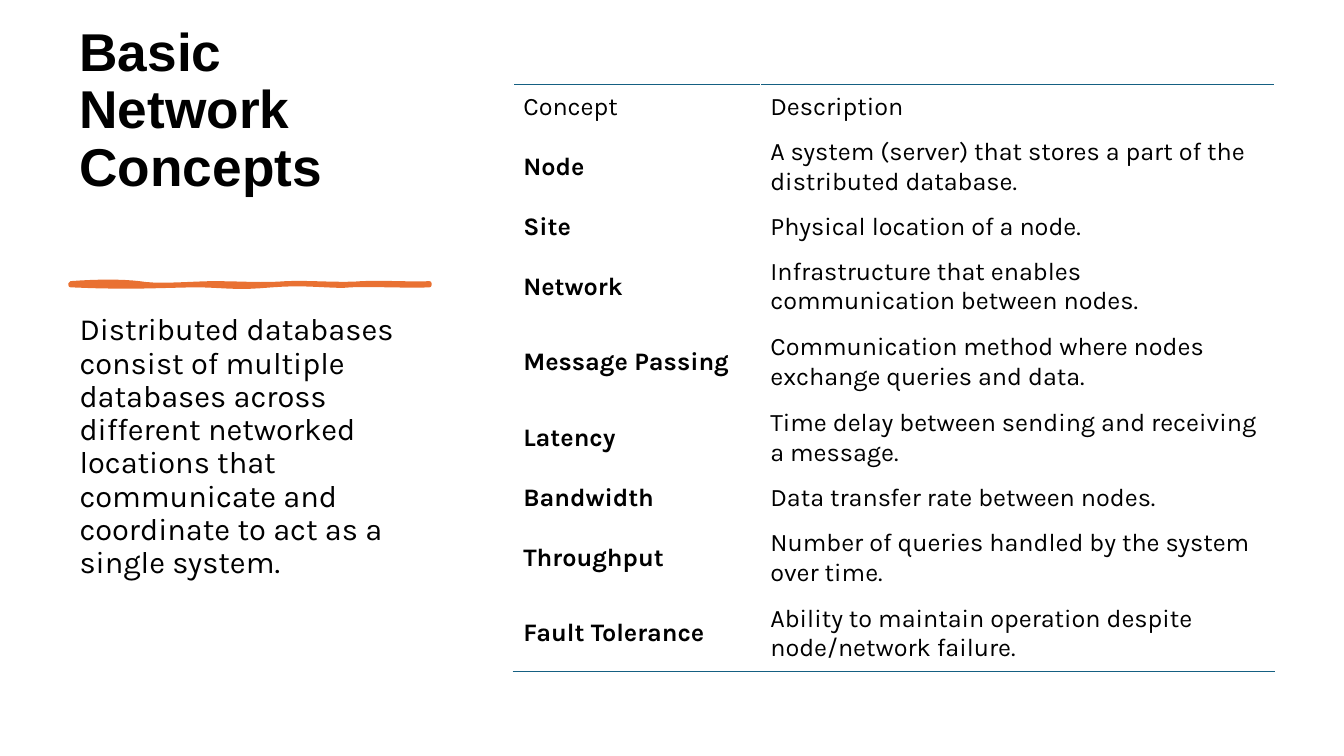
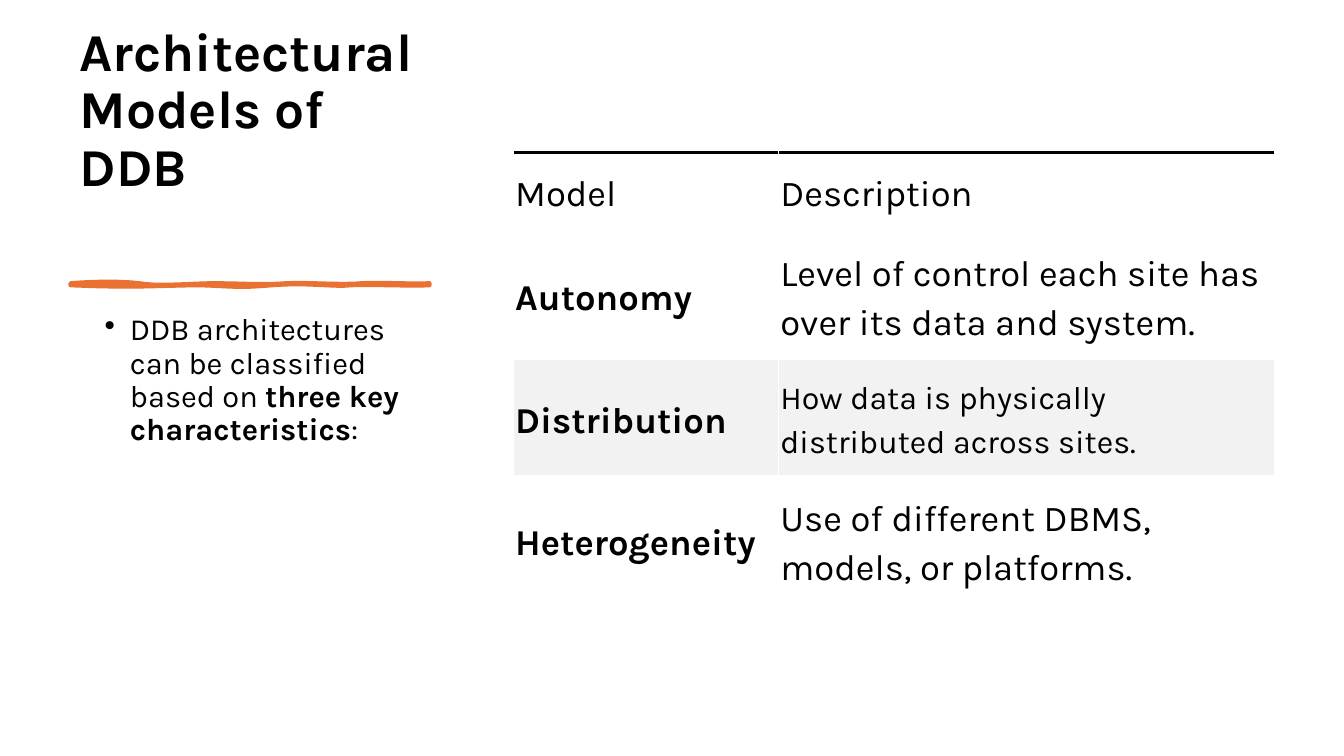
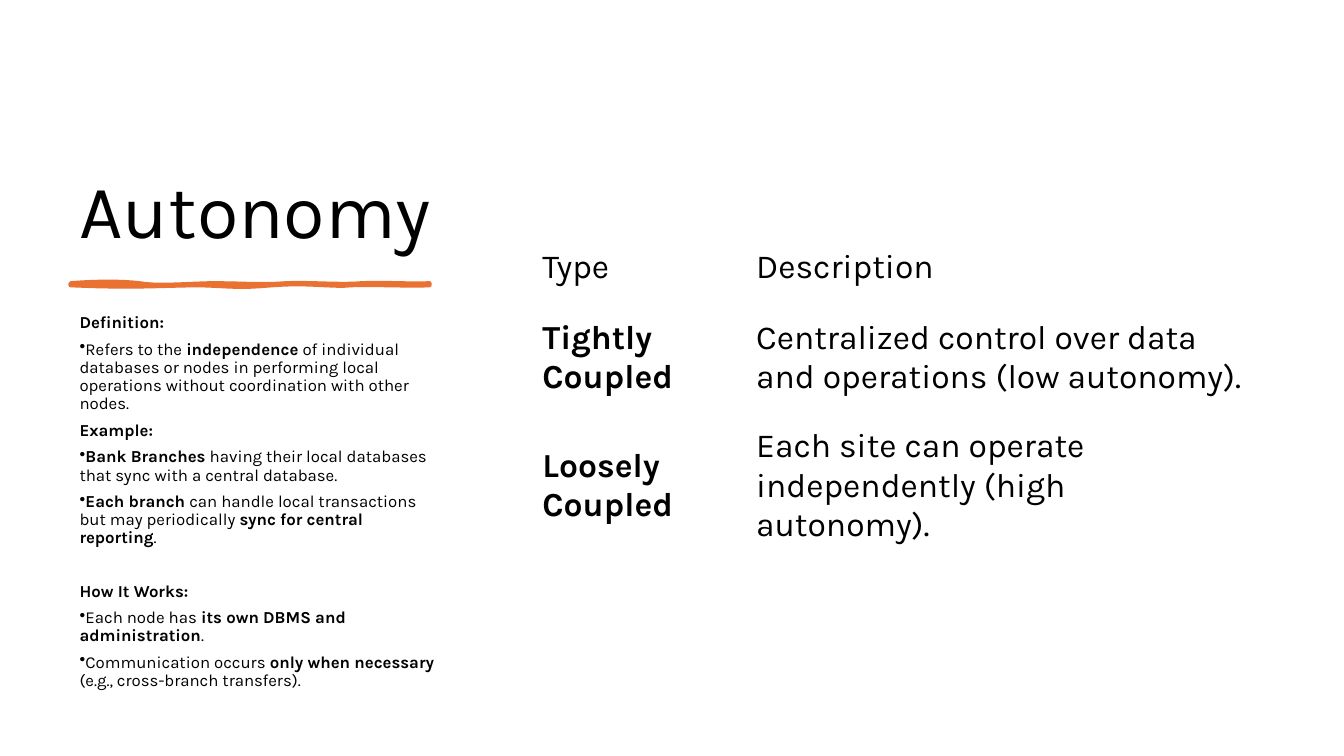
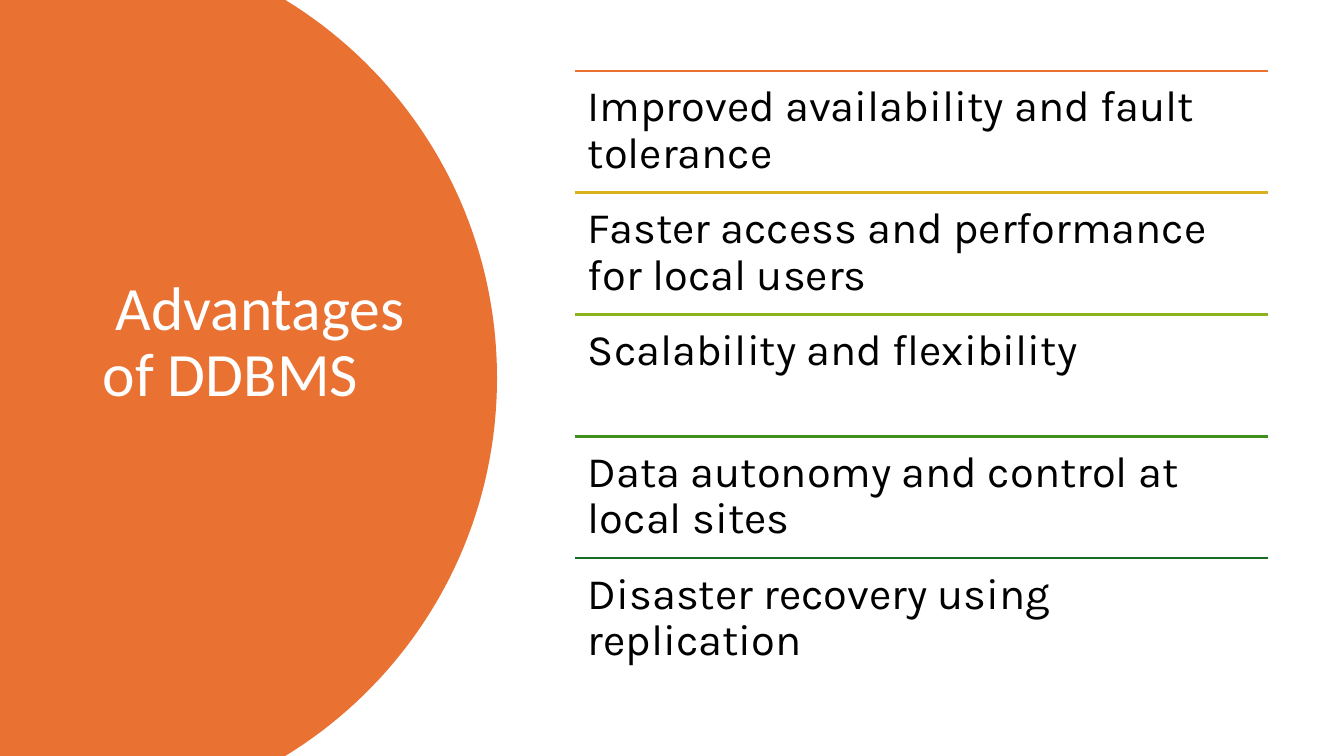
"""Builds four slides on distributed database concepts."""
from dataclasses import dataclass
from typing import NamedTuple, Optional

from lxml.etree import SubElement
from pptx import Presentation
from pptx.dml.color import RGBColor
from pptx.enum.shapes import MSO_CONNECTOR as Connector
from pptx.enum.text import MSO_ANCHOR as Anchor
from pptx.oxml import parse_xml
from pptx.oxml.ns import nsdecls, qn
from pptx.presentation import Presentation as Deck
from pptx.slide import Slide
from pptx.table import _Cell as Cell
from pptx.text.text import TextFrame
from pptx.util import Inches, Pt


@dataclass(frozen=True)
class Theme:
    font: str = "Karla"
    text: str = "000000"
    light: str = "FFFFFF"
    accent: str = "E97132"
    rule: str = "156082"
    band: str = "F2F2F2"
    steps: tuple[str, ...] = ("E97132", "D8B11D", "8EB21E", "408E1C", "196B24")
    title_size: float = 38
    big_title_size: float = 54
    panel_title_size: float = 44
    body_size: float = 22
    note_size: float = 12
    list_size: float = 31


THEME = Theme()


class Box(NamedTuple):
    left: float
    top: float
    width: float
    height: float


class Insets(NamedTuple):
    left: float = 0.1
    top: float = 0.05
    right: float = 0.1
    bottom: float = 0.05


class Run(NamedTuple):
    text: str
    bold: bool = False


@dataclass(frozen=True)
class TextStyle:
    size: float
    font: str = THEME.font
    color: str = THEME.text
    line_spacing: float = 0.9
    space_after: float = 0


@dataclass(frozen=True)
class Paragraph:
    runs: tuple[Run, ...]
    bullet: bool = False
    margin: float = 0
    indent: float = 0
    space_before: float = 0


@dataclass(frozen=True)
class TableSpec:
    left: float
    top: float
    columns: tuple[float, ...]
    heights: tuple[float, ...]
    rows: tuple[tuple[str, str], ...]
    style: TextStyle
    insets: Insets
    top_rule: Optional[tuple[str, float]] = None
    bottom_rule: Optional[tuple[str, float]] = None
    band_row: Optional[int] = None
    band_size: float = 23


TITLE_BOX = Box(0.69, 0.7, 3.75, 1.88)
BODY_BOX = Box(0.69, 3.07, 3.75, 3.73)
RAISED_TITLE = Insets(bottom=0.62)
Curve = tuple[float, float, float, float, float, float]
Point = tuple[float, float]

BRUSH_START: Point = (0.7, 2.81)
BRUSH_CURVES: tuple[Curve, ...] = (
    (0.97, 2.79, 1.21, 2.79, 1.38, 2.81),
    (1.55, 2.84, 1.77, 2.82, 2.09, 2.81),
    (2.41, 2.81, 2.6, 2.83, 2.84, 2.81),
    (3.08, 2.8, 3.39, 2.83, 3.59, 2.81),
    (3.79, 2.8, 4.12, 2.82, 4.26, 2.81),
    (4.26, 2.82, 4.26, 2.83, 4.26, 2.83),
    (4.08, 2.84, 3.64, 2.82, 3.48, 2.83),
    (3.32, 2.85, 3.04, 2.8, 2.7, 2.83),
    (2.35, 2.86, 2.31, 2.84, 1.99, 2.83),
    (1.66, 2.83, 1.32, 2.86, 0.7, 2.83),
)
PANEL_CURVES: tuple[Curve, ...] = (
    (4.09, 0.77, 4.93, 2.16, 4.93, 3.75),
    (4.93, 5.34, 4.09, 6.73, 2.83, 7.5),
)


def plain(text: str, bold: bool = False, space_before: float = 0) -> Paragraph:
    """Return a paragraph of one run."""
    return Paragraph((Run(text, bold),), space_before=space_before)


def bullet(*runs: Run, margin: float = 0) -> Paragraph:
    """Return a bulleted paragraph."""
    return Paragraph(runs, bullet=True, margin=margin, indent=-0.25)


def write_paragraphs(frame: TextFrame, paragraphs: tuple[Paragraph, ...], style: TextStyle) -> None:
    """Fill a text frame run by run."""
    for index, content in enumerate(paragraphs):
        paragraph = frame.add_paragraph() if index else frame.paragraphs[0]
        paragraph.line_spacing = style.line_spacing
        paragraph.space_before = Pt(content.space_before)
        paragraph.space_after = Pt(style.space_after)
        properties = paragraph._p.get_or_add_pPr()
        properties.set("marL", str(Inches(content.margin)))
        properties.set("indent", str(Inches(content.indent)))
        if content.bullet:
            SubElement(properties, qn("a:buChar")).set("char", "•")
        for part in content.runs:
            run = paragraph.add_run()
            run.text = part.text
            run.font.name = style.font
            run.font.size = Pt(style.size)
            run.font.bold = part.bold
            run.font.color.rgb = RGBColor.from_string(style.color)


def set_insets(target: TextFrame | Cell, insets: Insets) -> None:
    """Set the inner margins of a text frame or a cell."""
    target.margin_left = Inches(insets.left)
    target.margin_top = Inches(insets.top)
    target.margin_right = Inches(insets.right)
    target.margin_bottom = Inches(insets.bottom)


def add_text(slide: Slide, box: Box, paragraphs: tuple[Paragraph, ...], style: TextStyle,
             anchor: Anchor = Anchor.TOP, insets: Insets = Insets()) -> None:
    """Add a wrapping text box."""
    frame = slide.shapes.add_textbox(*map(Inches, box)).text_frame
    frame.word_wrap = True
    frame.vertical_anchor = anchor
    set_insets(frame, insets)
    write_paragraphs(frame, paragraphs, style)


def flatten(start: Point, curves: tuple[Curve, ...], steps: int) -> list[Point]:
    """Return points along a chain of cubic curves."""
    points = [start]
    for x1, y1, x2, y2, x3, y3 in curves:
        x0, y0 = points[-1]
        for step in range(1, steps + 1):
            t = step / steps
            u = 1 - t
            weights = (u ** 3, 3 * u * u * t, 3 * u * t * t, t ** 3)
            points.append((
                sum(w * x for w, x in zip(weights, (x0, x1, x2, x3))),
                sum(w * y for w, y in zip(weights, (y0, y1, y2, y3))),
            ))
    return points


def add_outline(slide: Slide, points: list[Point], line_width: float = 0) -> None:
    """Add a closed accent shape."""
    corners = [(Inches(x), Inches(y)) for x, y in points]
    builder = slide.shapes.build_freeform(*corners[0], scale=1.0)
    builder.add_line_segments(corners[1:], close=True)
    shape = builder.convert_to_shape()
    shape.shadow.inherit = False
    accent = RGBColor.from_string(THEME.accent)
    shape.fill.solid()
    shape.fill.fore_color.rgb = accent
    if line_width:
        shape.line.color.rgb = accent
        shape.line.width = Pt(line_width)
    else:
        shape.line.fill.background()


def add_rule(slide: Slide, left: float, top: float, width: float, color: str) -> None:
    """Add a horizontal line."""
    rule = slide.shapes.add_connector(
        Connector.STRAIGHT, Inches(left), Inches(top), Inches(left + width), Inches(top))
    rule.line.color.rgb = RGBColor.from_string(color)
    rule.line.width = Pt(1.5)
    SubElement(rule._element.spPr, qn("a:effectLst"))


def set_border(cell: Cell, side: str, color: str, width: float) -> None:
    """Draw one border of a cell."""
    border = parse_xml(
        f'<a:{side} {nsdecls("a")} w="{Pt(width)}"><a:solidFill>'
        f'<a:srgbClr val="{color}"/></a:solidFill></a:{side}>')
    cell._tc.get_or_add_tcPr().insert(0, border)


def add_table(slide: Slide, spec: TableSpec) -> None:
    """Add a two-column table with a plain header."""
    frame = slide.shapes.add_table(
        len(spec.rows), len(spec.columns), Inches(spec.left), Inches(spec.top),
        Inches(sum(spec.columns)), Inches(sum(spec.heights)))
    table = frame.table
    table.first_row = False
    table.horz_banding = False
    for column, width in zip(table.columns, spec.columns):
        column.width = Inches(width)
    for row, height in zip(table.rows, spec.heights):
        row.height = Inches(height)
    last_row = len(spec.rows) - 1
    for row_index, texts in enumerate(spec.rows):
        banded = row_index == spec.band_row
        for column_index, text in enumerate(texts):
            cell = table.cell(row_index, column_index)
            cell.vertical_anchor = Anchor.MIDDLE
            set_insets(cell, spec.insets)
            if banded:
                cell.fill.solid()
                cell.fill.fore_color.rgb = RGBColor.from_string(THEME.band)
            else:
                cell.fill.background()
            label = row_index > 0 and column_index == 0
            size = spec.band_size if banded and not label else spec.style.size
            style = TextStyle(size, line_spacing=spec.style.line_spacing,
                              space_after=spec.style.space_after)
            write_paragraphs(cell.text_frame, (plain(text, label),), style)
            if spec.top_rule and row_index == 0:
                set_border(cell, "lnT", *spec.top_rule)
            if spec.bottom_rule and row_index == last_row:
                set_border(cell, "lnB", *spec.bottom_rule)


def add_slide(presentation: Deck) -> Slide:
    """Add a blank slide."""
    return presentation.slides.add_slide(presentation.slide_layouts[6])


def add_topic_slide(presentation: Deck, title: Paragraph, title_style: TextStyle,
                    title_insets: Insets, body: tuple[Paragraph, ...],
                    body_style: TextStyle, table: TableSpec) -> None:
    """Add a slide with title, brush line and text beside a table."""
    slide = add_slide(presentation)
    add_text(slide, TITLE_BOX, (title,), title_style, Anchor.BOTTOM, title_insets)
    add_outline(slide, flatten(BRUSH_START, BRUSH_CURVES, 8), line_width=3)
    add_text(slide, BODY_BOX, body, body_style)
    add_table(slide, table)


def add_concepts_slide(presentation: Deck) -> None:
    """Add the slide on network concepts."""
    rows = (
        ("Concept", "Description"),
        ("Node", "A system (server) that stores a part of the distributed database."),
        ("Site", "Physical location of a node."),
        ("Network", "Infrastructure that enables communication between nodes."),
        ("Message Passing", "Communication method where nodes exchange queries and data."),
        ("Latency", "Time delay between sending and receiving a message."),
        ("Bandwidth", "Data transfer rate between nodes."),
        ("Throughput", "Number of queries handled by the system over time."),
        ("Fault Tolerance", "Ability to maintain operation despite node/network failure."),
    )
    single_line_rows = (0, 2, 6)
    heights = tuple(0.44 if index in single_line_rows else 0.75 for index in range(len(rows)))
    border = (THEME.rule, 1)
    table = TableSpec(5.09, 0.84, (2.45, 5.1), heights, rows, TextStyle(18, line_spacing=1),
                      Insets(), top_rule=border, bottom_rule=border)
    body = plain("Distributed databases consist of multiple databases across different networked "
                 "locations that communicate and coordinate to act as a single system.")
    add_topic_slide(presentation, plain("Basic Network Concepts", True),
                    TextStyle(THEME.title_size, font="Arial"), RAISED_TITLE,
                    (body,), TextStyle(THEME.body_size), table)


def add_models_slide(presentation: Deck) -> None:
    """Add the slide on architectural models."""
    rows = (
        ("Model", "Description"),
        ("Autonomy", "Level of control each site has over its data and system."),
        ("Distribution", "How data is physically distributed across sites."),
        ("Heterogeneity", "Use of different DBMS, models, or platforms."),
    )
    table = TableSpec(5.09, 1.51, (2.63, 4.92), (0.78, 1.28, 1.15, 1.28), rows,
                      TextStyle(26, line_spacing=1.15, space_after=8),
                      Insets(0.02, 0.13, 0.02, 0.13), top_rule=(THEME.text, 2.25), band_row=2)
    body = bullet(Run("DDB architectures can be classified based on "),
                  Run("three key characteristics", True), Run(":"), margin=0.5)
    add_topic_slide(presentation, plain("Architectural Models of DDB", True),
                    TextStyle(THEME.title_size), RAISED_TITLE,
                    (body,), TextStyle(THEME.body_size, space_after=6), table)


def add_autonomy_slide(presentation: Deck) -> None:
    """Add the slide on autonomy."""
    rows = (
        ("Type", "Description"),
        ("Tightly Coupled", "Centralized control over data and operations (low autonomy)."),
        ("Loosely Coupled", "Each site can operate independently (high autonomy)."),
    )
    table = TableSpec(5.09, 2.3, (2.12, 5.43), (0.7, 1.1, 1.1), rows,
                      TextStyle(24, line_spacing=1), Insets(0.29, 0.12, 0.29, 0.12))
    body = (
        plain("Definition:", True),
        bullet(Run("Refers to the "), Run("independence", True),
               Run(" of individual databases or nodes in performing local operations "
                   "without coordination with other nodes.")),
        plain("Example:", True),
        bullet(Run("Bank Branches", True),
               Run(" having their local databases that sync with a central database.")),
        bullet(Run("Each branch", True),
               Run(" can handle local transactions but may periodically "),
               Run("sync for central reporting", True), Run(".")),
        plain("How It Works:", True, space_before=19),
        bullet(Run("Each node has "), Run("its own DBMS and administration", True), Run(".")),
        bullet(Run("Communication occurs "), Run("only when necessary", True),
               Run(" (e.g., cross-branch transfers).")),
    )
    add_topic_slide(presentation, plain("Autonomy"), TextStyle(THEME.big_title_size), Insets(),
                    body, TextStyle(THEME.note_size, space_after=6), table)


def add_advantages_slide(presentation: Deck) -> None:
    """Add the slide listing advantages beside a curved panel."""
    slide = add_slide(presentation)
    add_outline(slide, [(0, 0), *flatten((2.83, 0), PANEL_CURVES, 40), (0, 7.5)])
    title = Paragraph((Run("Advantages of DDBMS"),), indent=0.13)
    add_text(slide, Box(0.92, 0.7, 3.23, 6.09), (title,),
             TextStyle(THEME.panel_title_size, font="Calibri", color=THEME.light),
             Anchor.MIDDLE, Insets(bottom=0.72))
    advantages = (
        "Improved availability and fault tolerance",
        "Faster access and performance for local users",
        "Scalability and flexibility",
        "Data autonomy and control at local sites",
        "Disaster recovery using replication",
    )
    left, first_top, width, pitch = 5.7, 0.7, 6.88, 1.21
    for index, (advantage, color) in enumerate(zip(advantages, THEME.steps)):
        top = first_top + index * pitch
        add_rule(slide, left, top, width, color)
        add_text(slide, Box(left, top, width, pitch), (plain(advantage),),
                 TextStyle(THEME.list_size), insets=Insets(0.13, 0.13, 0.13, 0.13))


def main() -> None:
    """Build and save the presentation."""
    presentation = Presentation()
    presentation.slide_width = Inches(13.33)
    presentation.slide_height = Inches(7.5)
    add_concepts_slide(presentation)
    add_models_slide(presentation)
    add_autonomy_slide(presentation)
    add_advantages_slide(presentation)
    presentation.save("out.pptx")


if __name__ == "__main__":
    main()
